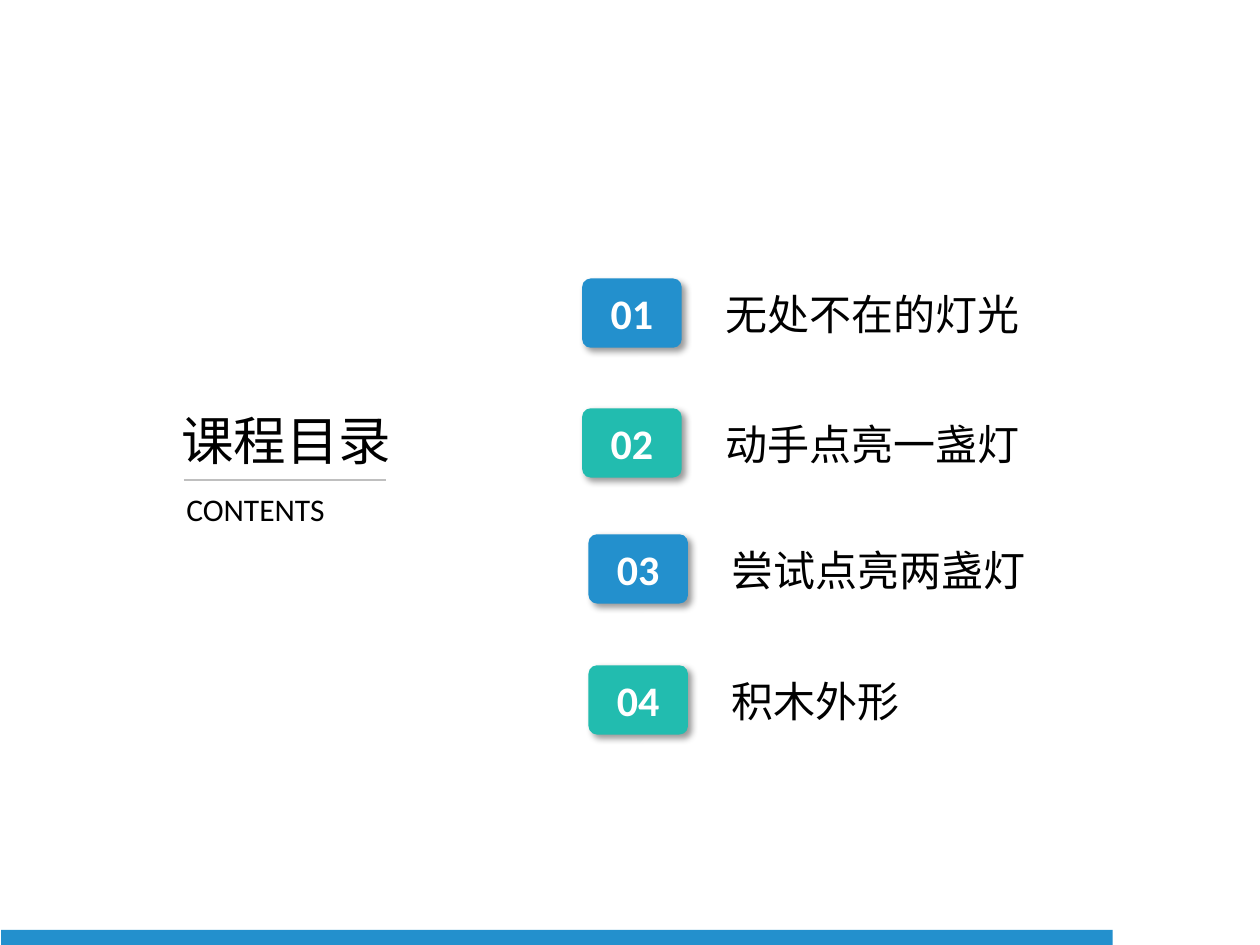
import pptx
import pptx.util
import pptx.dml.color
import pptx.enum.shapes
import pptx.enum.text
import pptx.oxml
import pptx.oxml.ns
from lxml import etree

Inches, Pt = pptx.util.Inches, pptx.util.Pt
RGB = pptx.dml.color.RGBColor
Shape = pptx.enum.shapes.MSO_SHAPE
Align = pptx.enum.text.PP_ALIGN
Anchor = pptx.enum.text.MSO_ANCHOR

BLUE = RGB(0x23, 0x90, 0xCD)
TEAL = RGB(0x22, 0xBC, 0xAF)
GREY = RGB(0xBF, 0xBF, 0xBF)
BLACK = RGB(0, 0, 0)
WHITE = RGB(255, 255, 255)
LATIN, HAN = "Calibri", "Noto Sans CJK SC"

TITLE, SUB = "课程目录", "CONTENTS"
# label, badge left, badge top, label width
ITEMS = [
    ("无处不在的灯光", 4.62, 2.21, 3.27),
    ("动手点亮一盏灯", 4.62, 3.24, 2.97),
    ("尝试点亮两盏灯", 4.67, 4.24, 3.27),
    ("积木外形", 4.67, 5.28, 2.97),
]
BADGE = (0.79, 0.55)
SHADOW = (
    '<a:outerShdw xmlns:a="http://schemas.openxmlformats.org/drawingml/2006/main" '
    'blurRad="50800" dist="38100" dir="2700000" algn="tl" rotWithShape="0">'
    '<a:srgbClr val="000000"><a:alpha val="40000"/></a:srgbClr></a:outerShdw>'
)


def write(shape, text, align=Align.LEFT, anchor=Anchor.TOP, wrap=True, **form):
    frame = shape.text_frame
    frame.word_wrap = wrap
    frame.vertical_anchor = anchor
    frame.auto_size = pptx.enum.text.MSO_AUTO_SIZE.NONE
    para = frame.paragraphs[0]
    para.alignment = align
    run = para.add_run()
    run.text = text
    form = {"name": LATIN, "size": Pt(24), "color": BLACK, **form}
    run.font.color.rgb = form.pop("color")
    for key, val in form.items():
        setattr(run.font, key, val)
    east = etree.SubElement(run.font._element, pptx.oxml.ns.qn("a:ea"))
    east.set("typeface", HAN)


def block(kind, color, *box):
    shape = slide.shapes.add_shape(kind, *map(Inches, box))
    shape.shadow.inherit = False
    shape.fill.solid()
    shape.fill.fore_color.rgb = color
    shape.line.fill.background()
    return shape


def label(text, *box, **form):
    write(slide.shapes.add_textbox(*map(Inches, box)), text, **form)


deck = pptx.Presentation()
deck.slide_width, deck.slide_height = Inches(10), Inches(7.5)
slide = deck.slides.add_slide(deck.slide_layouts[5])

block(Shape.RECTANGLE, BLUE, 0.01, 7.38, 8.82, 0.12)

title = slide.shapes.title
place = {"left": 1.34, "top": 3.19, "width": 1.88, "height": 0.61}
for key, val in place.items():
    setattr(title, key, Inches(val))
write(title, TITLE, wrap=False, name=HAN, size=Pt(30))
label(SUB, 1.38, 3.84, 1.78, 0.4, align=Align.JUSTIFY, size=Pt(18))

rule = slide.shapes.add_connector(
    pptx.enum.shapes.MSO_CONNECTOR.STRAIGHT,
    *map(Inches, (1.46, 3.81, 3.06, 3.81)))
rule.line.color.rgb = GREY
rule.line.width = Pt(1.5)
etree.SubElement(rule._element.spPr, pptx.oxml.ns.qn("a:effectLst"))

for num, (text, left, top, width) in enumerate(ITEMS, 1):
    label(text, left + 1.04, top + 0.03, width, 0.53)
    badge = block(Shape.ROUNDED_RECTANGLE, BLUE if num % 2 else TEAL,
                  left, top, *BADGE)
    badge.adjustments[0] = 0.124
    effects = badge._element.spPr.find(pptx.oxml.ns.qn("a:effectLst"))
    effects.append(pptx.oxml.parse_xml(SHADOW))
    write(badge, f"{num:02}", Align.CENTER, Anchor.MIDDLE,
          color=WHITE, bold=True)

deck.save("out.pptx")
